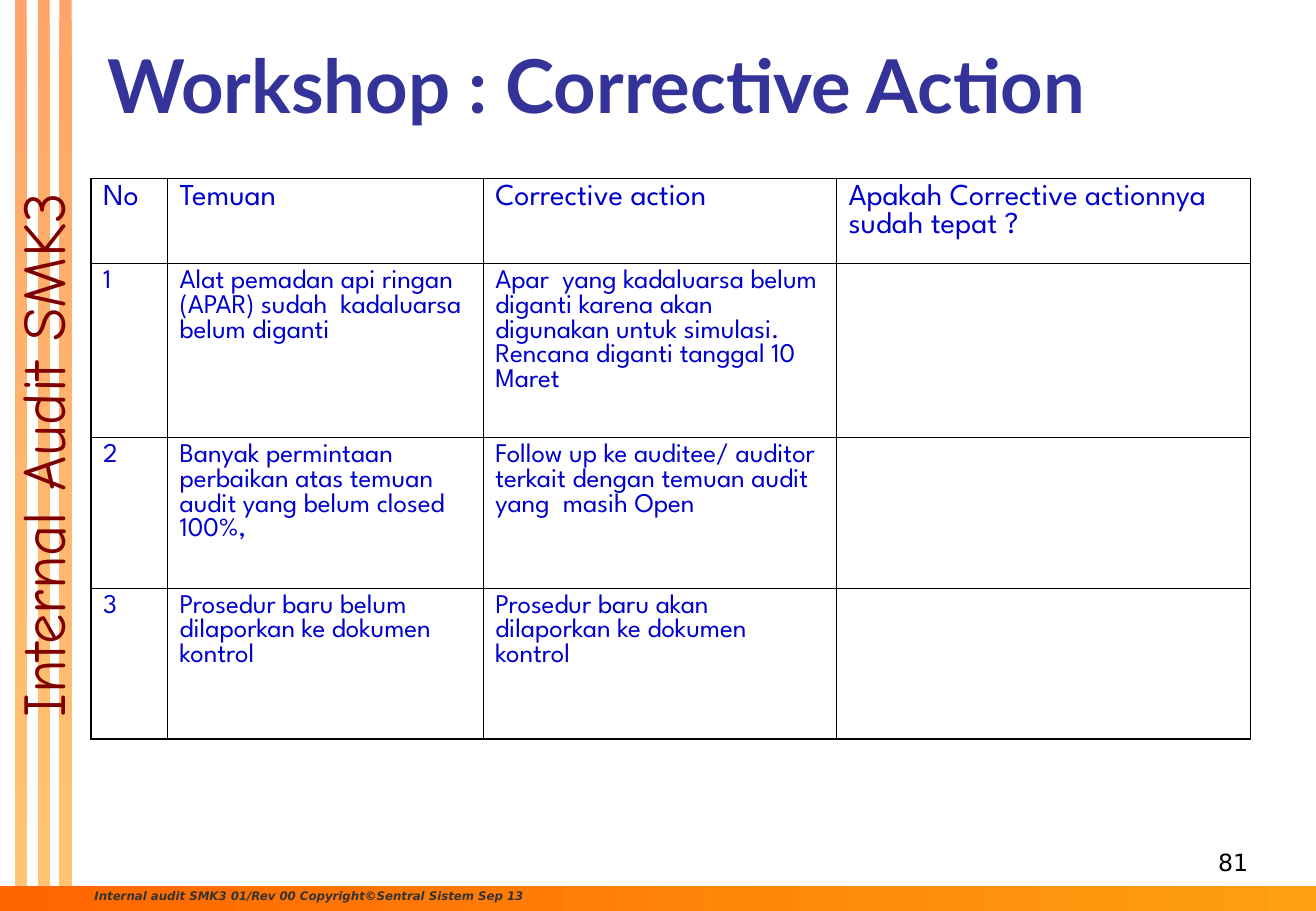
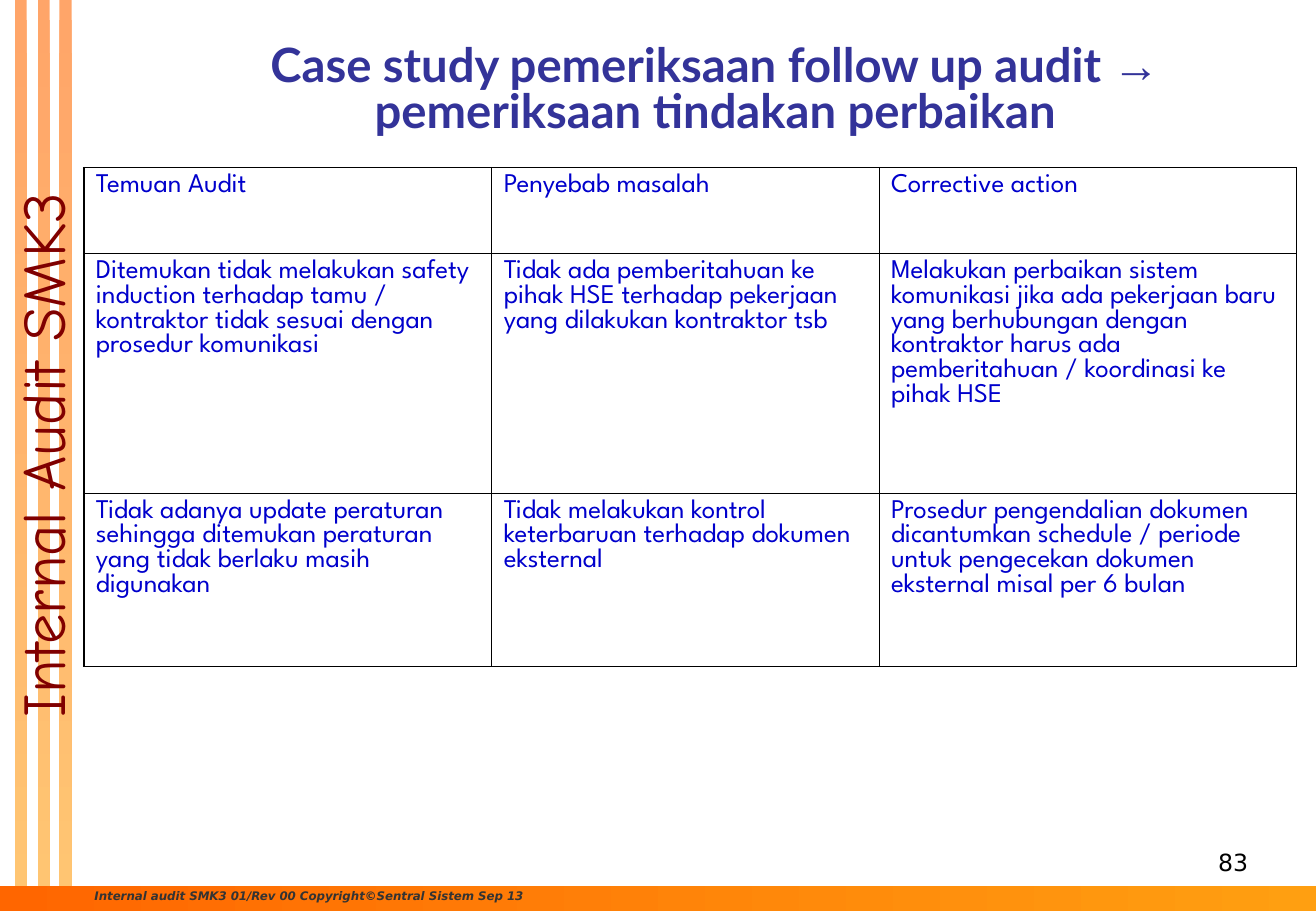
from dataclasses import dataclass

from lxml.etree import SubElement
from pptx import Presentation
from pptx.dml.color import RGBColor
from pptx.enum.shapes import MSO_SHAPE as Shape
from pptx.enum.text import MSO_ANCHOR as Anchor, PP_ALIGN as Align
from pptx.oxml.ns import qn
from pptx.util import Emu, Pt

PX = 9144  # EMU per px, 100 px to the inch
SLIDE_WIDTH, SLIDE_HEIGHT = 1084, 750

# Shared colours and text formats
BAND_START, BAND_END = "FF6600", "FF9F11"
WHITE, BLACK = "FFFFFF", "000000"
SIDE_FORMAT = {"name": "Comic Neue", "size": Pt(36), "color": "800000"}
NUMBER_FORMAT = {"name": "DejaVu Sans", "size": Pt(14), "color": BLACK}
FOOTER_FORMAT = {"name": "DejaVu Sans", "size": Pt(7), "color": "333333",
                 "bold": True, "italic": True}
TITLE_FORMAT = {"name": "Lato", "color": "333399", "bold": True}
CELL_FORMAT = {"name": "League Spartan", "color": "0000CC"}
THIN, THICK = Pt(0.45), Pt(1.08)


@dataclass(frozen=True)
class Box:
    left: int
    top: int
    width: int
    height: int

    def emu(self) -> list[Emu]:
        return [Emu(n * PX) for n in (self.left, self.top, self.width, self.height)]


@dataclass(frozen=True)
class Title:
    box: Box
    runs: list[tuple[str, str]]  # text and font name
    size: int
    align: Align


@dataclass(frozen=True)
class Grid:
    left: int
    top: int
    columns: list[int]
    rows: list[int]
    header_size: int
    body_size: int
    bottom_border: Pt
    texts: list[list[str]]


@dataclass(frozen=True)
class Page:
    number: str
    title: Title
    grid: Grid


STRIPES = [Box(left, -11, 10, 769) for left in (12, 31, 49)]
SIDE_PANEL = Box(-341, 339, 750, 71)
FOOTER_BAND = Box(0, 729, 1084, 21)
NUMBER_BOX = Box(785, 693, 253, 52)
FOOTER_BOX = Box(68, 727, 513, 23)

PAGES = [
    Page(
        "81",
        Title(Box(79, 13, 975, 125), [("Workshop : Corrective Action", "Lato")],
              44, Align.LEFT),
        Grid(75, 147, [63, 260, 291, 341], [70, 143, 124, 124], 18, 16, THICK, [
            ["No", "Temuan", "Corrective action",
             "Apakah Corrective actionnya sudah tepat ?"],
            ["1", "Alat pemadan api ringan (APAR) sudah  kadaluarsa belum diganti",
             "Apar  yang kadaluarsa belum diganti karena akan digunakan untuk "
             "simulasi. Rencana diganti tanggal 10 Maret", ""],
            ["2", "Banyak permintaan perbaikan atas temuan audit yang belum closed 100%,",
             "Follow up ke auditee/ auditor terkait dengan temuan audit "
             "yang  masih Open", ""],
            ["3", "Prosedur baru belum dilaporkan ke dokumen kontrol",
             "Prosedur baru akan dilaporkan ke dokumen kontrol", ""],
        ]),
    ),
    Page(
        "83",
        Title(Box(149, 13, 880, 125),
              [("Case study pemeriksaan follow up audit ", "Lato"), ("→", "Arial"),
               (" pemeriksaan tindakan perbaikan", "Lato")],
              28, Align.CENTER),
        Grid(69, 138, [336, 319, 344], [71, 197, 143], 16, 16, THIN, [
            ["Temuan Audit", "Penyebab masalah", "Corrective action"],
            ["Ditemukan tidak melakukan safety induction terhadap tamu / "
             "kontraktor tidak sesuai dengan prosedur komunikasi",
             "Tidak ada pemberitahuan ke pihak HSE terhadap pekerjaan yang "
             "dilakukan kontraktor tsb",
             "Melakukan perbaikan sistem komunikasi jika ada pekerjaan baru yang "
             "berhubungan dengan kontraktor harus ada pemberitahuan / koordinasi "
             "ke pihak HSE"],
            ["Tidak adanya update peraturan sehingga ditemukan peraturan yang "
             "tidak berlaku masih digunakan",
             "Tidak melakukan kontrol keterbaruan terhadap dokumen eksternal",
             "Prosedur pengendalian dokumen dicantumkan schedule / periode untuk "
             "pengecekan dokumen eksternal misal per 6 bulan"],
        ]),
    ),
]


def rgb(value: str) -> RGBColor:
    return RGBColor.from_string(value)


def add_run(paragraph, text: str, formats: dict) -> None:
    run = paragraph.add_run()
    run.text = text
    for key, value in formats.items():
        if key == "color":
            run.font.color.rgb = rgb(value)
        else:
            setattr(run.font, key, value)


def add_text(slide, box: Box, text: str, formats: dict, align: Align) -> None:
    frame = slide.shapes.add_textbox(*box.emu()).text_frame
    frame.word_wrap = True
    paragraph = frame.paragraphs[0]
    paragraph.alignment = align
    add_run(paragraph, text, formats)


def add_rectangle(slide, box: Box):
    rectangle = slide.shapes.add_shape(Shape.RECTANGLE, *box.emu())
    rectangle.shadow.inherit = False
    rectangle.line.fill.background()
    return rectangle


def add_band(slide, box: Box, angle: int) -> None:
    fill = add_rectangle(slide, box).fill
    fill.gradient()
    fill.gradient_angle = angle
    for stop, color, position in zip(fill.gradient_stops, (BAND_START, BAND_END), (0, 1)):
        stop.color.rgb = rgb(color)
        stop.position = position


def add_side_panel(slide) -> None:
    panel = add_rectangle(slide, SIDE_PANEL)
    panel.rotation = 270
    panel.fill.solid()
    panel.fill.fore_color.rgb = rgb(WHITE)
    white = panel.fill._xPr.find(qn("a:solidFill"))[0]
    SubElement(white, qn("a:alpha"), val="41000")
    frame = panel.text_frame
    frame.word_wrap = False
    frame.vertical_anchor = Anchor.MIDDLE
    frame.paragraphs[0].alignment = Align.CENTER
    add_run(frame.paragraphs[0], "Internal Audit SMK3", SIDE_FORMAT)


def add_frame(slide, number: str) -> None:
    """Draw the bands, side panel and footer that all slides share."""
    for stripe in STRIPES:
        add_band(slide, stripe, 270)
    add_side_panel(slide)
    add_band(slide, FOOTER_BAND, 0)
    add_text(slide, NUMBER_BOX, number, NUMBER_FORMAT, Align.RIGHT)
    add_text(slide, FOOTER_BOX,
             "Internal audit SMK3 01/Rev 00 Copyright©Sentral Sistem Sep 13",
             FOOTER_FORMAT, Align.LEFT)


def add_title(slide, title: Title) -> None:
    frame = slide.shapes.add_textbox(*title.box.emu()).text_frame
    frame.word_wrap = True
    frame.vertical_anchor = Anchor.MIDDLE
    paragraph = frame.paragraphs[0]
    paragraph.alignment = title.align
    paragraph.line_spacing = 0.8
    for text, font_name in title.runs:
        add_run(paragraph, text,
                TITLE_FORMAT | {"name": font_name, "size": Pt(title.size)})


def set_borders(cell, widths: dict[str, Pt]) -> None:
    properties = cell._tc.get_or_add_tcPr()
    for side, width in widths.items():
        border = SubElement(properties, qn(f"a:ln{side}"), w=str(int(width)))
        fill = SubElement(border, qn("a:solidFill"))
        SubElement(fill, qn("a:srgbClr"), val=BLACK)


def add_grid(slide, grid: Grid) -> None:
    box = Box(grid.left, grid.top, sum(grid.columns), sum(grid.rows))
    last_row, last_column = len(grid.rows) - 1, len(grid.columns) - 1
    table = slide.shapes.add_table(last_row + 1, last_column + 1, *box.emu()).table
    table.first_row = table.horz_banding = False
    for column, width in zip(table.columns, grid.columns):
        column.width = Emu(width * PX)
    for r, (row, height) in enumerate(zip(table.rows, grid.rows)):
        row.height = Emu(height * PX)
        size = Pt(grid.body_size if r else grid.header_size)
        for c, cell in enumerate(row.cells):
            set_borders(cell, {
                "L": THIN if c else THICK,
                "R": THICK if c == last_column else THIN,
                "T": THIN if r else THICK,
                "B": grid.bottom_border if r == last_row else THIN,
            })
            cell.fill.background()
            if grid.texts[r][c]:
                add_run(cell.text_frame.paragraphs[0], grid.texts[r][c],
                        CELL_FORMAT | {"size": size})


def main() -> None:
    deck = Presentation()
    deck.slide_width, deck.slide_height = Emu(SLIDE_WIDTH * PX), Emu(SLIDE_HEIGHT * PX)
    for page in PAGES:
        slide = deck.slides.add_slide(deck.slide_layouts[6])
        add_frame(slide, page.number)
        add_title(slide, page.title)
        add_grid(slide, page.grid)
    deck.save("out.pptx")


if __name__ == "__main__":
    main()
